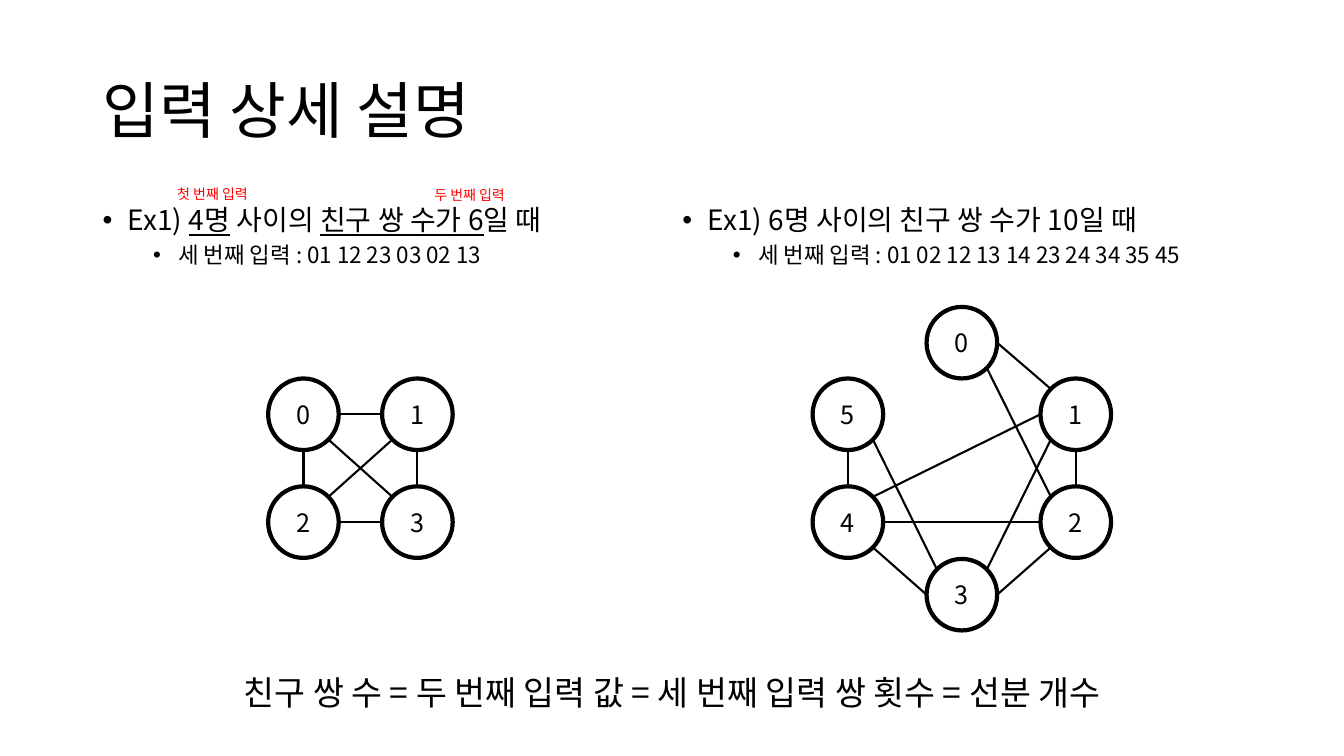
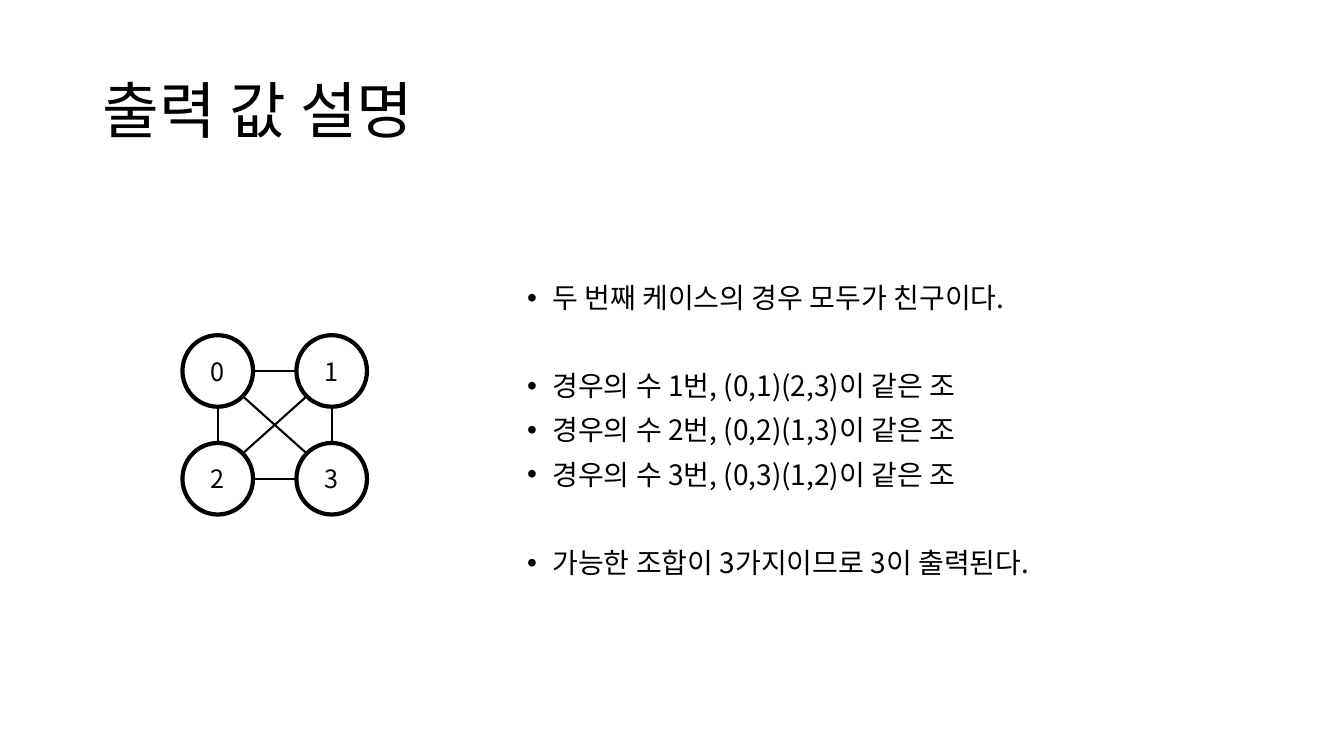
from pptx import Presentation
from pptx.dml.color import RGBColor
from pptx.enum.shapes import MSO_CONNECTOR, MSO_SHAPE
from pptx.enum.text import MSO_ANCHOR, PP_ALIGN
from pptx.oxml.ns import qn
from pptx.util import Inches, Pt
from lxml import etree

BLACK = RGBColor(0x00, 0x00, 0x00)
RED = RGBColor(0xFF, 0x00, 0x00)
FONT = "Noto Sans CJK KR"
LEFT, CENTER = PP_ALIGN.LEFT, PP_ALIGN.CENTER
TOP, MIDDLE = MSO_ANCHOR.TOP, MSO_ANCHOR.MIDDLE
OVAL, STRAIGHT = MSO_SHAPE.OVAL, MSO_CONNECTOR.STRAIGHT

NODE_W, NODE_H = 0.7, 0.71
STEP_X, STEP_Y = 1.13, 1.07
DIAGONAL = 0.5 ** 0.5
SITES = {
    "N": (0, -1), "S": (0, 1), "W": (-1, 0), "E": (1, 0),
    "NW": (-DIAGONAL, -DIAGONAL), "NE": (DIAGONAL, -DIAGONAL),
    "SW": (-DIAGONAL, DIAGONAL), "SE": (DIAGONAL, DIAGONAL),
}

SQUARE_NODES = {"0": (0, 0), "1": (STEP_X, 0),
                "2": (0, STEP_Y), "3": (STEP_X, STEP_Y)}
SQUARE_EDGES = ["0 E 1 W", "0 SE 3 NW", "0 S 2 N",
                "2 E 3 W", "1 S 3 N", "2 NE 1 SW"]
HEXAGON_NODES = {"0": (STEP_X, -0.71), "1": (2 * STEP_X, 0),
                 "2": (2 * STEP_X, STEP_Y), "3": (STEP_X, STEP_Y + 0.72),
                 "4": (0, STEP_Y), "5": (0, 0)}
HEXAGON_EDGES = ["5 S 4 N", "4 SE 3 W", "1 S 2 N", "1 NW 0 E", "2 SW 3 E",
                 "2 NW 0 SE", "3 NE 1 SW", "4 NE 1 W", "4 E 2 W", "5 SE 3 NW"]


def add_runs(p, text, size=20, color=BLACK, underlined=()):
    parts = [text]
    for phrase in underlined:
        before, after = parts.pop().split(phrase, 1)
        parts += [before, phrase, after]
    for part in parts:
        r = p.add_run()
        r.text = part
        r.font.size = Pt(size)
        r.font.name = FONT
        r.font.color.rgb = color
        if part in underlined:
            r.font.underline = True
        ea = etree.SubElement(r.font._element, qn("a:ea"))
        ea.set("typeface", FONT)


def add_bullet(p, indent):
    pPr = p._p.get_or_add_pPr()
    pPr.set("marL", str(Inches(indent)))
    pPr.set("indent", str(Inches(-0.25)))
    etree.SubElement(pPr, qn("a:buFont")).set("typeface", "Arial")
    etree.SubElement(pPr, qn("a:buChar")).set("char", "•")


def write(tf, text, align=LEFT, spacing=None, before=0, indent=None, **font):
    p = tf.paragraphs[0]
    if p.runs:
        p = tf.add_paragraph()
    p.alignment = align
    p.space_before = Pt(before)
    if spacing:
        p.line_spacing = spacing
    if indent:
        add_bullet(p, indent)
    add_runs(p, text, **font)


def add_box(s, left, top, width, height, anchor=TOP):
    sp = s.shapes.add_textbox(Inches(left), Inches(top),
                              Inches(width), Inches(height))
    tf = sp.text_frame
    tf.word_wrap = True
    tf.vertical_anchor = anchor
    return tf


def add_title(s, text):
    tf = add_box(s, 0.92, 0.4, 11.5, 1.45, anchor=MIDDLE)
    write(tf, text, size=44, spacing=0.9)


def add_example(s, left, heading, detail, underlined=()):
    tf = add_box(s, left, 2, 5.75, 1.04)
    write(tf, heading, spacing=0.9, before=10, indent=0.25,
          underlined=underlined)
    write(tf, detail, size=16, spacing=0.9, before=5, indent=0.75)


def add_node(s, label, x, y):
    sp = s.shapes.add_shape(OVAL, Inches(x - NODE_W / 2), Inches(y - NODE_H / 2),
                            Inches(NODE_W), Inches(NODE_H))
    sp.shadow.inherit = False
    sp.fill.background()
    sp.line.color.rgb = BLACK
    sp.line.width = Pt(3)
    tf = sp.text_frame
    tf.vertical_anchor = MIDDLE
    write(tf, label, align=CENTER, size=18)


def add_edge(s, start, end):
    line = s.shapes.add_connector(STRAIGHT, *map(Inches, start + end))
    line.line.color.rgb = BLACK
    line.line.width = Pt(1.5)
    etree.SubElement(line._element.spPr, qn("a:effectLst"))


def add_graph(s, x, y, nodes, edges):
    def site(label, side):
        dx, dy = nodes[label]
        sx, sy = SITES[side]
        return x + dx + sx * NODE_W / 2, y + dy + sy * NODE_H / 2

    for label, (dx, dy) in nodes.items():
        add_node(s, label, x + dx, y + dy)
    for edge in edges:
        start, start_side, end, end_side = edge.split()
        add_edge(s, site(start, start_side), site(end, end_side))


def input_slide(s):
    add_title(s, "입력 상세 설명")
    add_example(s, 0.92, "Ex1) 4명 사이의 친구 쌍 수가 6일 때",
                "세 번째 입력 : 01 12 23 03 02 13",
                underlined=("4명", "친구 쌍 수가 6"))
    add_example(s, 6.67, "Ex1) 6명 사이의 친구 쌍 수가 10일 때",
                "세 번째 입력 : 01 02 12 13 14 23 24 34 35 45")
    add_graph(s, 3.01, 4.11, SQUARE_NODES, SQUARE_EDGES)
    add_graph(s, 8.41, 4.11, HEXAGON_NODES, HEXAGON_EDGES)
    write(add_box(s, 1.09, 6.66, 11.15, 1.04),
          "친구 쌍 수 = 두 번째 입력 값 = 세 번째 입력 쌍 횟수 = 선분 개수",
          align=CENTER, size=24, spacing=0.9, before=10)
    for left, top, label in [(1.66, 1.79, "첫 번째 입력"),
                             (4.21, 1.8, "두 번째 입력")]:
        write(add_box(s, left, top, 1.6, 0.27), label, size=10, color=RED)


def output_slide(s):
    add_title(s, "출력 값 설명")
    tf = add_box(s, 5.13, 2.77, 7.29, 3.98)
    for text, before in [
        ("두 번째 케이스의 경우 모두가 친구이다.", 10),
        ("경우의 수 1번, (0,1)(2,3)이 같은 조", 41.4),
        ("경우의 수 2번, (0,2)(1,3)이 같은 조", 10),
        ("경우의 수 3번, (0,3)(1,2)이 같은 조", 10),
        ("가능한 조합이 3가지이므로 3이 출력된다.", 41.4),
    ]:
        write(tf, text, spacing=0.9, before=before, indent=0.25)
    add_graph(s, 2.16, 3.68, SQUARE_NODES, SQUARE_EDGES)


def main():
    prs = Presentation()
    prs.slide_width = Inches(13.33)
    prs.slide_height = Inches(7.5)
    for build in (input_slide, output_slide):
        build(prs.slides.add_slide(prs.slide_layouts[6]))
    prs.save("out.pptx")


main()
